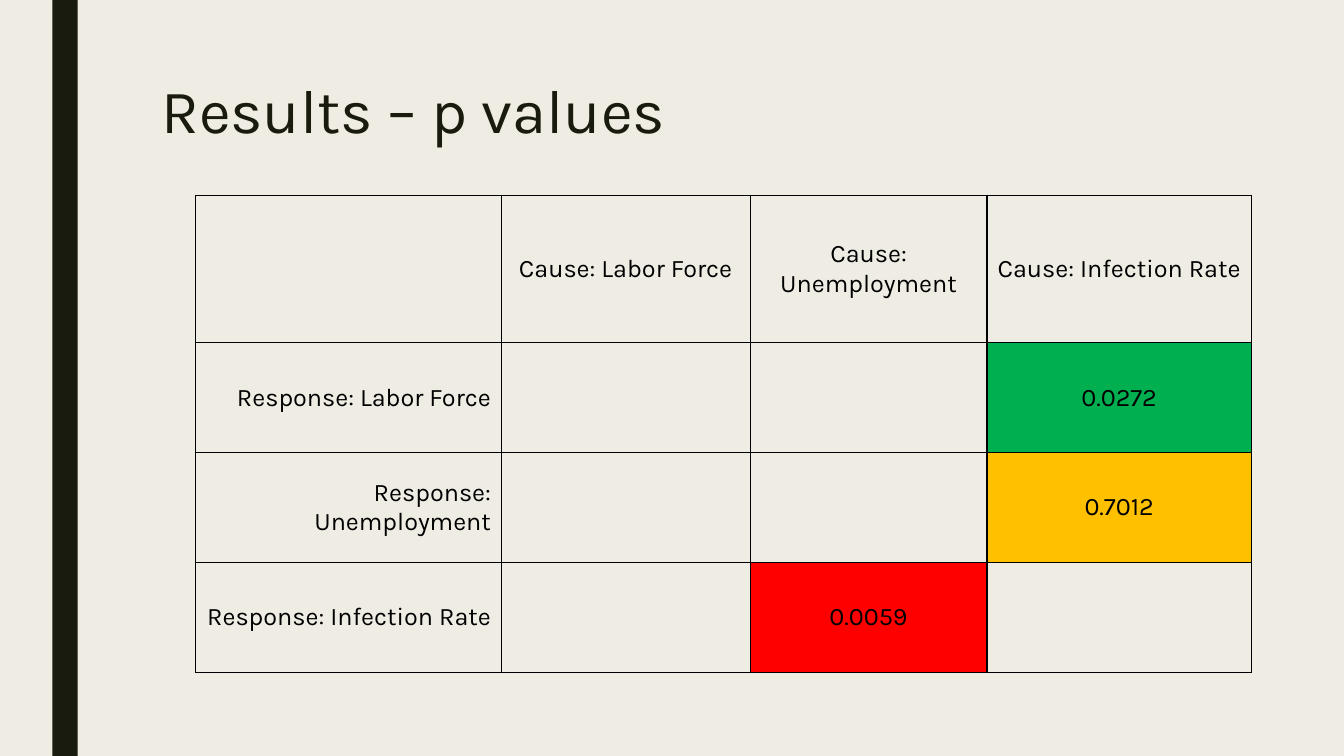
from dataclasses import dataclass

from lxml import etree
from pptx import Presentation
from pptx.dml.color import RGBColor
from pptx.enum.shapes import MSO_SHAPE
from pptx.enum.text import MSO_ANCHOR, MSO_AUTO_SIZE, PP_ALIGN
from pptx.oxml.ns import qn
from pptx.slide import Slide
from pptx.table import _Cell
from pptx.util import Inches, Pt

RECT = MSO_SHAPE.RECTANGLE
TOP, MIDDLE = MSO_ANCHOR.TOP, MSO_ANCHOR.MIDDLE
LEFT, CENTER, RIGHT = PP_ALIGN.LEFT, PP_ALIGN.CENTER, PP_ALIGN.RIGHT
NO_FIT = MSO_AUTO_SIZE.NONE

FONT = "Karla"
COLORS = {
    "paper": "EFEDE3",
    "dark": "191B0E",
    "black": "000000",
    "green": "00B050",
    "amber": "FFC000",
    "red": "FF0000",
}
WIDTH, HEIGHT = 13.33, 7.5
COLS = (3.03, 2.47, 2.35, 2.62)
ROWS = (1.46, 1.09, 1.09, 1.09)
TOPICS = ("Labor Force", "Unemployment", "Infection Rate")


@dataclass
class Entry:
    row: int
    col: int
    text: str
    align: PP_ALIGN = CENTER
    fill: str = ""


def color(name: str) -> RGBColor:
    return RGBColor.from_string(COLORS[name])


def style(para, size: int, tint: str, align: PP_ALIGN) -> None:
    para.alignment = align
    para.font.name = FONT
    para.font.size = Pt(size)
    para.font.color.rgb = color(tint)


def add_bar(slide: Slide) -> None:
    bar = slide.shapes.add_shape(RECT, Inches(0.52), 0, Inches(0.25), Inches(HEIGHT))
    bar.shadow.inherit = False
    bar.fill.solid()
    bar.fill.fore_color.rgb = color("dark")
    bar.line.fill.background()


def set_title(slide: Slide, text: str) -> None:
    title = slide.shapes.title
    title.left, title.top = Inches(1.5), Inches(0.75)
    title.width, title.height = Inches(10.5), Inches(1.62)
    frame = title.text_frame
    frame.text = text
    frame.word_wrap = True
    frame.auto_size = NO_FIT
    frame.vertical_anchor = TOP
    para = frame.paragraphs[0]
    para.line_spacing = 0.89
    style(para, 44, "dark", LEFT)


def add_edges(cell: _Cell) -> None:
    """Draw a thin black line on all four sides of a cell."""
    props = cell._tc.get_or_add_tcPr()
    for side in ("lnL", "lnR", "lnT", "lnB"):
        line = etree.SubElement(props, qn(f"a:{side}"), w=str(Pt(1)))
        fill = etree.SubElement(line, qn("a:solidFill"))
        etree.SubElement(fill, qn("a:srgbClr"), val=COLORS["black"])


def add_grid(slide: Slide, entries: list[Entry]) -> None:
    frame = slide.shapes.add_table(
        len(ROWS), len(COLS), Inches(1.94), Inches(1.94),
        Inches(sum(COLS)), Inches(sum(ROWS)),
    )
    table = frame.table
    table.first_row = table.horz_banding = False
    for col, width in zip(table.columns, COLS):
        col.width = Inches(width)
    for row, height in zip(table.rows, ROWS):
        row.height = Inches(height)
    for cell in table.iter_cells():
        add_edges(cell)
        cell.fill.background()
    for entry in entries:
        cell = table.cell(entry.row, entry.col)
        cell.text = entry.text
        cell.vertical_anchor = MIDDLE
        style(cell.text_frame.paragraphs[0], 18, "black", entry.align)
        if entry.fill:
            cell.fill.solid()
            cell.fill.fore_color.rgb = color(entry.fill)


def main() -> None:
    deck = Presentation()
    deck.slide_width, deck.slide_height = Inches(WIDTH), Inches(HEIGHT)
    slide = deck.slides.add_slide(deck.slide_layouts.get_by_name("Title Only"))
    slide.background.fill.solid()
    slide.background.fill.fore_color.rgb = color("paper")

    heads = [Entry(0, i, f"Cause: {topic}") for i, topic in enumerate(TOPICS, 1)]
    sides = [Entry(i, 0, f"Response: {topic}", RIGHT) for i, topic in enumerate(TOPICS, 1)]
    values = [
        Entry(1, 3, "0.0272", fill="green"),
        Entry(2, 3, "0.7012", fill="amber"),
        Entry(3, 2, "0.0059", fill="red"),
    ]
    add_bar(slide)
    set_title(slide, "Results – p values")
    add_grid(slide, heads + sides + values)
    deck.save("out.pptx")


if __name__ == "__main__":
    main()
